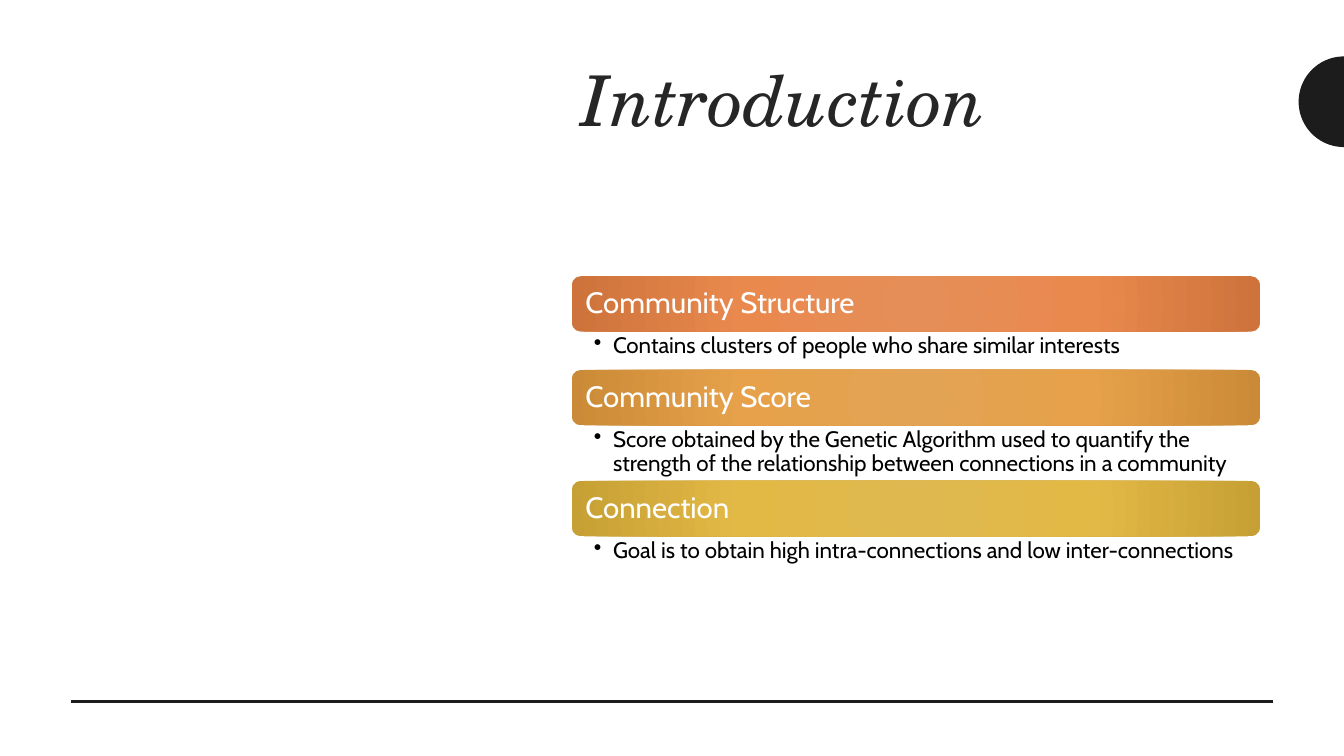
import math

from pptx import Presentation
from pptx import util as u
from pptx.dml.color import RGBColor
from pptx.enum import shapes, text
from pptx.oxml import parse_xml
from pptx.oxml.ns import nsdecls, qn

INK = "1C1C1C"
LEFT, WIDTH = 5.67, 6.83
BAR_HEIGHT = 0.55
TOPICS = [
    ("Community Structure",
     "Contains clusters of people who share similar interests",
     0.38, ("E58E58", "E9894E", "CD733B")),
    ("Community Score",
     "Score obtained by the Genetic Algorithm used to quantify the "
     "strength of the relationship between connections in a community",
     0.55, ("E2A354", "E6A14A", "CB8A37")),
    ("Connection",
     "Goal is to obtain high intra-connections and low inter-connections",
     0.38, ("DFB950", "E3B946", "C7A035")),
]


def color(value):
    """Turn a hex string into a colour."""
    return RGBColor.from_string(value)


def write(shape, words, size, ink, font="Cabin", italic=False,
          insets=(0.1, 0.05, 0.1, 0.05), anchor=text.MSO_ANCHOR.TOP):
    """Set the formatted text of a shape and return its paragraph."""
    frame = shape.text_frame
    frame.word_wrap = True
    frame.auto_size = text.MSO_AUTO_SIZE.NONE
    frame.vertical_anchor = anchor
    (frame.margin_left, frame.margin_top,
     frame.margin_right, frame.margin_bottom) = map(u.Inches, insets)
    paragraph = frame.paragraphs[0]
    paragraph.alignment = text.PP_ALIGN.LEFT
    paragraph.line_spacing = 0.9
    run = paragraph.add_run()
    run.text = words
    run.font.name = font
    run.font.size = u.Pt(size)
    run.font.italic = italic
    run.font.color.rgb = color(ink)
    return paragraph


def add_title(slide, words):
    """Place the slide title in its placeholder."""
    title = slide.shapes.title
    title.left, title.top = u.Inches(LEFT), u.Inches(0.61)
    title.width, title.height = u.Inches(WIDTH), u.Inches(1.62)
    write(title, words, 50, "262626", font="TeX Gyre Schola", italic=True)


def add_half_disc(slide, center_x, center_y, radius):
    """Draw the dark half disc that opens to the right edge."""
    angles = [math.radians(90 + 5 * step) for step in range(37)]
    points = [(u.Inches(center_x + radius * math.cos(angle)),
               u.Inches(center_y + radius * math.sin(angle)))
              for angle in angles]
    outline = slide.shapes.build_freeform(*points[0])
    outline.add_line_segments(points[1:], close=True)
    disc = outline.convert_to_shape()
    disc.shadow.inherit = False
    disc.fill.solid()
    disc.fill.fore_color.rgb = color(INK)
    disc.line.fill.background()


def add_footer_rule(slide):
    """Draw the thin rule along the bottom."""
    rule = slide.shapes.add_connector(
        shapes.MSO_CONNECTOR.STRAIGHT,
        u.Inches(12.63), u.Inches(6.96), u.Inches(0.7), u.Inches(6.96))
    rule.line.color.rgb = color(INK)
    rule.line.width = u.Pt(2)
    rule._element.spPr.append(parse_xml(f"<a:effectLst {nsdecls('a')}/>"))


def fill_radial(shape, tones):
    """Fill a shape with a gradient running outwards from its centre."""
    stops = "".join(
        f'<a:gs pos="{position}"><a:srgbClr val="{tone}"/></a:gs>'
        for position, tone in zip((0, 50000, 100000), tones))
    gradient = parse_xml(
        f'<a:gradFill {nsdecls("a")} rotWithShape="1"><a:gsLst>{stops}</a:gsLst>'
        '<a:path path="circle"><a:fillToRect l="100000" t="100000" '
        'r="100000" b="100000"/></a:path></a:gradFill>')
    shape._element.spPr.find(qn("a:prstGeom")).addnext(gradient)


def add_heading_bar(slide, top, words, tones):
    """Add a rounded gradient bar holding a topic heading."""
    bar = slide.shapes.add_shape(
        shapes.MSO_SHAPE.ROUNDED_RECTANGLE,
        u.Inches(LEFT), u.Inches(top), u.Inches(WIDTH), u.Inches(BAR_HEIGHT))
    bar.shadow.inherit = False
    fill_radial(bar, tones)
    bar.line.fill.background()
    write(bar, words, 21, "FFFFFF", insets=(0.11, 0.09, 0.11, 0.09),
          anchor=text.MSO_ANCHOR.MIDDLE)


def add_bullet(slide, top, height, words):
    """Add the bulleted explanation below a heading bar."""
    box = slide.shapes.add_textbox(
        u.Inches(LEFT), u.Inches(top), u.Inches(WIDTH), u.Inches(height))
    paragraph = write(box, words, 16, "000000",
                      insets=(0.22, 0.03, 0.16, 0.03))
    properties = paragraph._p.get_or_add_pPr()
    properties.set("lvl", "1")
    properties.set("marL", str(u.Inches(0.19)))
    properties.set("indent", str(u.Inches(-0.19)))
    properties.append(parse_xml(f'<a:buChar {nsdecls("a")} char="•"/>'))


def main():
    """Build the introduction slide."""
    deck = Presentation()
    deck.slide_width, deck.slide_height = u.Inches(13.33), u.Inches(7.5)
    slide = deck.slides.add_slide(deck.slide_layouts[5])
    add_half_disc(slide, 13.33, 1.01, 0.45)
    add_footer_rule(slide)
    add_title(slide, "Introduction")
    top = 2.74
    for heading, detail, detail_height, tones in TOPICS:
        add_heading_bar(slide, top, heading, tones)
        add_bullet(slide, top + BAR_HEIGHT, detail_height, detail)
        top += BAR_HEIGHT + detail_height
    deck.save("out.pptx")


if __name__ == "__main__":
    main()
